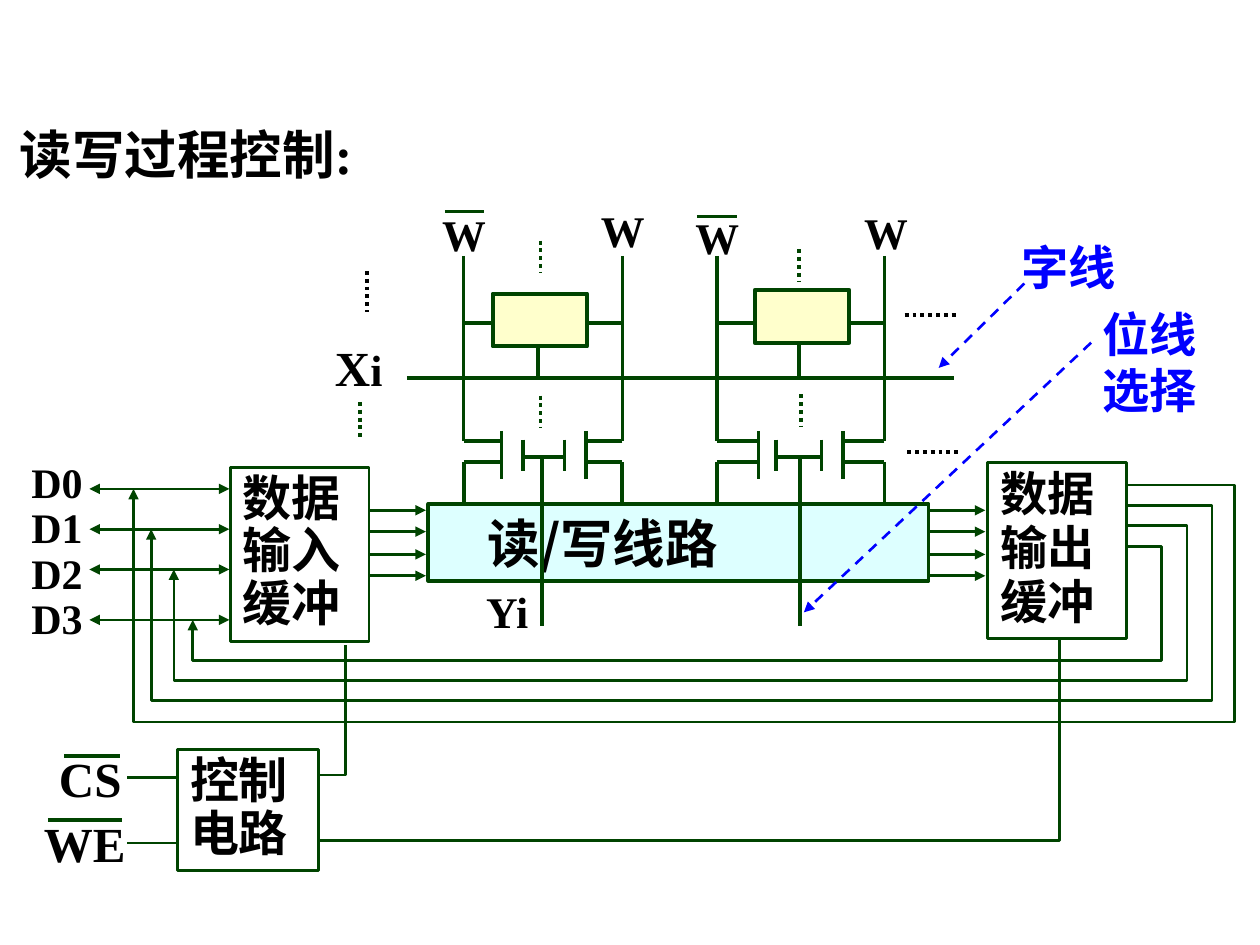
import pptx
import pptx.util
import pptx.dml.color
import pptx.enum.dml
import pptx.enum.shapes
import pptx.enum.text
import pptx.oxml
import pptx.oxml.ns

Inches = pptx.util.Inches
COLORS = {"ink": "000000", "wire": "004400", "note": "0000FF",
          "cell": "FFFFCC", "rw": "DDFFFF"}
DASHES = {"dot": pptx.enum.dml.MSO_LINE.ROUND_DOT,
          "dash": pptx.enum.dml.MSO_LINE.DASH}


def rgb(name):
    return pptx.dml.color.RGBColor.from_string(COLORS[name])


class Diagram:
    font = "Times New Roman"

    def __init__(self, slide):
        self.s = slide

    def add_tag(self, parent, name, **attrs):
        parent.append(parent.makeelement(pptx.oxml.ns.qn(name), attrs))

    def stroke(self, sp, color, width, dash=None, arrows=()):
        sp.line.color.rgb = rgb(color)
        sp.line.width = pptx.util.Pt(width)
        if dash:
            sp.line.dash_style = DASHES[dash]
        ln = sp._element.spPr.find(pptx.oxml.ns.qn("a:ln"))
        for end in arrows:
            self.add_tag(ln, "a:" + end, type="triangle")

    def line(self, x1, y1, x2, y2, width=2.25, color="wire", **style):
        sp = self.s.shapes.add_connector(
            pptx.enum.shapes.MSO_CONNECTOR.STRAIGHT,
            Inches(x1), Inches(y1), Inches(x2), Inches(y2))
        self.stroke(sp, color, width, **style)
        self.add_tag(sp._element.spPr, "a:effectLst")

    def route(self, points, **style):
        start, *rest = [(Inches(x), Inches(y)) for x, y in points]
        fb = self.s.shapes.build_freeform(*start)
        fb.add_line_segments(rest, close=False)
        sp = fb.convert_to_shape()
        sp.shadow.inherit = False
        sp.fill.background()
        self.stroke(sp, "wire", 1.5, **style)

    def format_run(self, r, size, color="ink", font=None):
        for key, value in {"name": font or self.font, "bold": True,
                           "size": pptx.util.Pt(size)}.items():
            setattr(r.font, key, value)
        r.font.color.rgb = rgb(color)

    def put_text(self, sp, text, size, color="ink", font=None, spacing=None,
                 wrap=True, inset=0.1, anchor="TOP"):
        tf = sp.text_frame
        frame = {"word_wrap": wrap, "margin_left": Inches(inset),
                 "vertical_anchor": getattr(pptx.enum.text.MSO_ANCHOR, anchor)}
        for key, value in frame.items():
            setattr(tf, key, value)
        p = tf.paragraphs[0]
        p.text = text
        p.alignment = pptx.enum.text.PP_ALIGN.LEFT
        if spacing:
            p.line_spacing = spacing
        for r in p.runs:
            self.format_run(r, size, color, font)
        return p

    def text(self, x, y, w, h, text, size, **style):
        sp = self.s.shapes.add_textbox(Inches(x), Inches(y), Inches(w), Inches(h))
        return self.put_text(sp, text, size, **style)

    def box(self, x, y, w, h, fill=None, width=2.25, text=None, **style):
        sp = self.s.shapes.add_shape(
            pptx.enum.shapes.MSO_SHAPE.RECTANGLE,
            Inches(x), Inches(y), Inches(w), Inches(h))
        sp.shadow.inherit = False
        if fill:
            sp.fill.solid()
            sp.fill.fore_color.rgb = rgb(fill)
        else:
            sp.fill.background()
        self.stroke(sp, "wire", width)
        if text:
            self.put_text(sp, text, **style)

    def column(self, left, right, cell, stem, select, gates, plates):
        """One memory column: bit lines, storage cell and two gate transistors."""
        x, y = cell
        mid = 2.56
        self.box(x, y, 0.75, 0.42, "cell")
        self.line(left, mid, x, mid)
        self.line(x + 0.75, mid, right, mid)
        self.line(stem, y + 0.43, stem, 3)
        for bit, gate, plate in zip((left, right), gates, plates):
            self.line(bit, 2.03, bit, 3.5, 2)
            self.line(bit, 3.67, bit, 4)
            for level in (3.5, 3.67):
                self.line(bit, level, gate, level)
            self.line(gate, 3.42, gate, 3.8)
            self.line(plate, 3.49, plate, 3.74)
        self.line(plates[0], 3.63, plates[1], 3.63)
        self.line(select, 3.63, select, 4.97, 2.5)


prs = pptx.Presentation()
prs.slide_width, prs.slide_height = Inches(10), Inches(7.5)
d = Diagram(prs.slides.add_slide(prs.slide_layouts[6]))

# Title and blue notes
d.text(0.06, 0.92, 2.99, 0.6, "读写过程控制:", 30)
d.text(8.01, 1.84, 1.15, 0.55, "字线", 27, color="note")
d.text(8.65, 2.37, 1.15, 1.01, "位线\v选择", 27, color="note")

# Word line and read/write circuit
d.line(3.23, 3, 7.57, 3, 2.5)
p = d.text(2.56, 2.63, 0.92, 0.57, "X", 28)
r = p.add_run()
r.text = "i"
d.format_run(r, 25)
d.box(3.4, 4, 3.97, 0.61, "rw", text="读/写线路", size=30,
      font="Noto Sans CJK SC", inset=0.47, anchor="MIDDLE")

# Memory columns
d.column(3.68, 4.94, (3.91, 2.33), 4.27, 4.3, (3.98, 4.65), (4.15, 4.48))
d.column(5.69, 7.02, (5.99, 2.3), 6.34, 6.35, (6.02, 6.69), (6.16, 6.52))
d.text(3.76, 4.59, 0.92, 0.52, "Yi", 25)
for x, y in ((3.41, 1.6), (4.67, 1.57), (5.42, 1.62), (6.76, 1.58)):
    d.text(x, y, 0.75, 0.52, "W", 25)

# Dots for the omitted rows and columns
for x, y, length in ((4.29, 1.91, 0.25), (6.34, 1.98, 0.25), (4.29, 3.14, 0.25),
                     (6.36, 3.13, 0.25), (2.86, 3.19, 0.29)):
    d.line(x, y, x, y + length, dash="dot")
d.line(2.91, 2.15, 2.91, 2.48, color="ink", dash="dot")
for x, y in ((7.18, 2.5), (7.2, 3.59)):
    d.line(x, y, x + 0.43, y, color="ink", dash="dot")

# Buffers and control circuit
d.box(7.84, 3.67, 1.1, 1.4, width=1.5, text="数据\v输出\v缓冲", size=27, spacing=0.95)
d.box(1.83, 3.71, 1.1, 1.38, width=1.5, text="数据\v输入\v缓冲", size=28, spacing=0.9)
d.box(1.41, 5.95, 1.12, 0.96, width=1.5, text="控制\v电路", size=28, spacing=0.9)
d.text(0.15, 3.62, 0.79, 1.56, "D0\vD1\vD2\vD3", 24, spacing=0.9)
d.text(0.37, 5.89, 0.7, 0.57, "CS", 28, wrap=False)
d.text(0.25, 6.41, 1.14, 0.57, "WE", 28)
for y in (6.17, 6.69):
    d.line(1.01, y, 1.41, y, 1.5)

# Bars over the inverted signals
for x1, x2, y in ((3.53, 3.84, 1.68), (5.53, 5.85, 1.72),
                  (0.51, 0.95, 6), (0.38, 0.97, 6.51)):
    d.line(x1, y, x2, y, 2)

# Data arrows
for y in (4.05, 4.22, 4.4, 4.57):
    for x in (2.94, 7.38):
        d.line(x, y, x + 0.44, y, 1.5, arrows=["tailEnd"])
data_levels = (3.88, 4.2, 4.52, 4.92)
for y in data_levels:
    d.line(0.71, y, 1.82, y, 1.5, arrows=["headEnd", "tailEnd"])

# Feedback from the output buffer to the data lines
for start, right, bottom, left, end in zip(
        (3.85, 4.01, 4.17, 4.34), (9.8, 9.62, 9.42, 9.22),
        (5.73, 5.56, 5.4, 5.24), (1.06, 1.2, 1.38, 1.53), data_levels):
    d.route([(8.94, start), (right, start), (right, bottom),
             (left, bottom), (left, end)], arrows=["tailEnd"])

# Control wires
d.route([(2.53, 6.15), (2.74, 6.15), (2.74, 5.12)])
d.route([(2.53, 6.67), (8.41, 6.67), (8.41, 5.07)])

# Note arrows
for ends in ((8.13, 2.25, 7.45, 2.92), (8.66, 2.72, 6.38, 4.86)):
    d.line(*ends, 1.5, "note", dash="dash", arrows=["tailEnd"])

prs.save("out.pptx")
